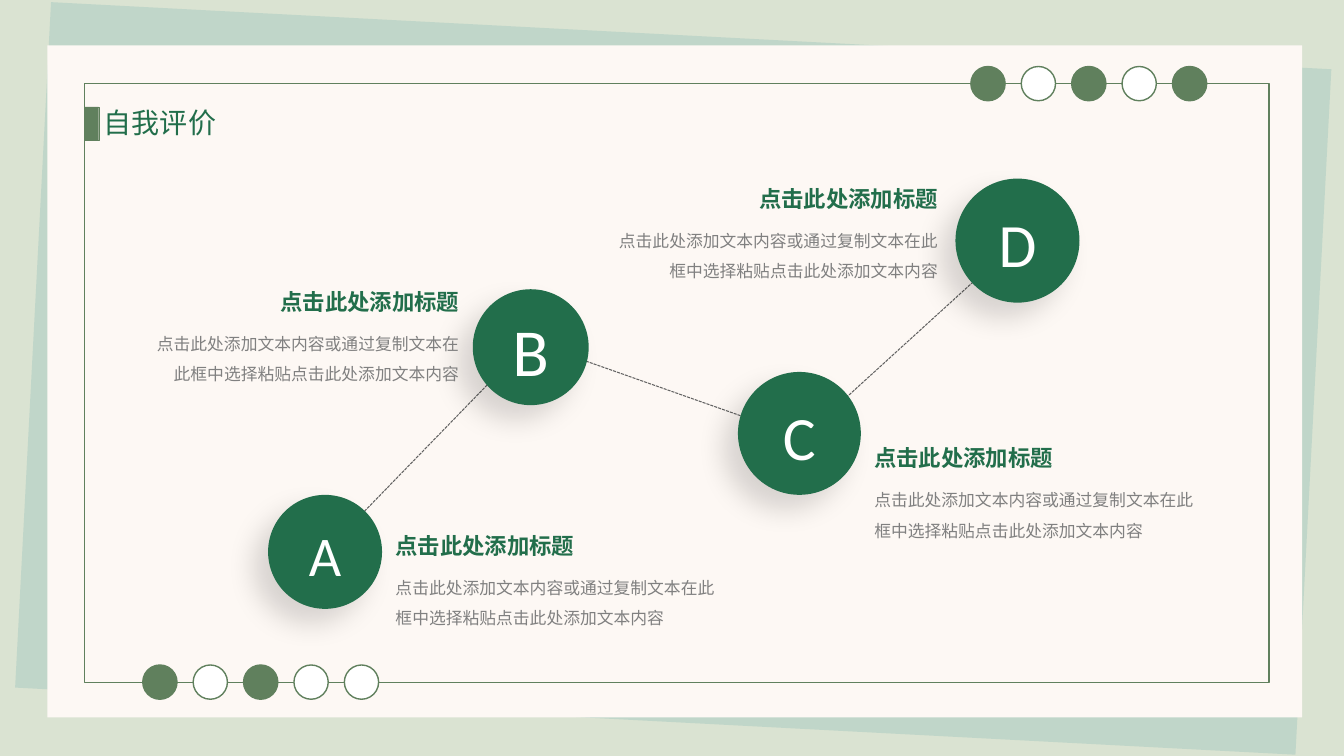
"""Build the self-evaluation slide with four lettered stops on a dashed path."""
import dataclasses

import lxml.etree
import pptx
import pptx.dml.color
import pptx.enum.dml
import pptx.enum.shapes
import pptx.enum.text
import pptx.oxml.ns
import pptx.util


@dataclasses.dataclass(frozen=True)
class Theme:
    font: str = "Calibri"
    background: str = "DAE3D2"
    sheet: str = "C0D6C9"
    panel: str = "FDF8F4"
    olive: str = "60805D"
    green: str = "226E4B"
    white: str = "FFFFFF"
    path_line: str = "626262"
    body_text: str = "808080"
    shadow: str = "000000"
    title_size: int = 20
    heading_size: int = 16
    body_size: int = 12


theme = Theme()
Pt = pptx.util.Pt
rgb = pptx.dml.color.RGBColor.from_string
qn = pptx.oxml.ns.qn
Preset = pptx.enum.shapes.MSO_SHAPE
Align = pptx.enum.text.PP_ALIGN
Anchor = pptx.enum.text.MSO_ANCHOR

presentation = pptx.Presentation()
presentation.slide_width = Pt(960)
presentation.slide_height = Pt(540)
slide = presentation.slides.add_slide(presentation.slide_layouts[5])
slide.background.fill.solid()
slide.background.fill.fore_color.rgb = rgb(theme.background)


def draw_shape(preset, box, fill=None, line=None, line_width=1):
    shape = slide.shapes.add_shape(preset, *map(Pt, box))
    shape.shadow.inherit = False
    for part, color in ((shape.fill, fill), (shape.line.fill, line)):
        if color:
            part.solid()
            part.fore_color.rgb = rgb(color)
        else:
            part.background()
    if line:
        shape.line.width = Pt(line_width)
    return shape


def write_text(shape, text, size, color, align, bold=False, spacing=None,
               wrap=True, anchor=Anchor.TOP, insets=(9.6, 4.8)):
    frame = shape.text_frame
    frame.text = text
    side, edge = map(Pt, insets)
    frame_format = {
        "word_wrap": wrap, "vertical_anchor": anchor,
        "auto_size": pptx.enum.text.MSO_AUTO_SIZE.NONE,
        "margin_left": side, "margin_right": side,
        "margin_top": edge, "margin_bottom": edge,
    }
    for name, value in frame_format.items():
        setattr(frame, name, value)
    paragraph = frame.paragraphs[0]
    paragraph.alignment = align
    paragraph.line_spacing = spacing
    font = paragraph.runs[0].font
    for name, value in {"name": theme.font, "size": Pt(size), "bold": bold}.items():
        setattr(font, name, value)
    font.color.rgb = rgb(color)


sheet = draw_shape(Preset.RECTANGLE, (23, 25.2, 915.8, 490.3), theme.sheet)
sheet.rotation = 3
draw_shape(Preset.RECTANGLE, (33.8, 32.4, 896.4, 480), theme.panel)
draw_shape(Preset.RECTANGLE, (60.5, 59.8, 846, 427.7), line=theme.olive)

dot_rows = [(693.5, 47.5, "●○●○●"), (102, 475, "●○●○○")]
dot_step, dot_size = 36, 24.5
for left, top, pattern in dot_rows:
    for index, mark in enumerate(pattern):
        fill = theme.olive if mark == "●" else theme.white
        draw_shape(Preset.OVAL, (left + index * dot_step, top, dot_size, dot_size),
                   fill, theme.olive)

title = slide.shapes.title
slide.shapes._spTree.append(title._element)
title_place = {"left": 67, "top": 72, "width": 122.4, "height": 31.7}
for name, value in title_place.items():
    setattr(title, name, Pt(value))
write_text(title, "自我评价", theme.title_size, theme.green, Align.JUSTIFY,
           insets=(7.2, 3.6))
draw_shape(Preset.RECTANGLE, (60.5, 76.3, 10.1, 23.8), theme.olive, theme.olive, 0.25)

path_links = [
    (231.8, 394.6, 378.7, 243.4),
    (573.1, 312.5, 377.3, 243.4),
    (749.5, 151.9, 573.1, 312.5),
]
for ends in path_links:
    link = slide.shapes.add_connector(pptx.enum.shapes.MSO_CONNECTOR.STRAIGHT,
                                      *map(Pt, ends))
    link.line.color.rgb = rgb(theme.path_line)
    link.line.width = Pt(0.75)
    link.line.dash_style = pptx.enum.dml.MSO_LINE.SQUARE_DOT
    outline = link.line._get_or_add_ln()
    for tag in ("a:headEnd", "a:tailEnd"):
        lxml.etree.SubElement(outline, qn(tag), type="oval")
    lxml.etree.SubElement(link._element.spPr, qn("a:effectLst"))

heading = "点击此处添加标题"
body = "点击此处添加文本内容或通过复制文本在此框中选择粘贴点击此处添加文本内容"
stops = [
    ("A", 40, (232.2, 394.2), 81.4, (272.9, 375.1, 259), Align.LEFT),
    ("B", 48, (379.1, 248), 82.8, (97.2, 200.9, 240.5), Align.RIGHT),
    ("C", 44, (571, 309.6), 87.8, (614.9, 312.5, 259), Align.LEFT),
    ("D", 44, (726.8, 171.9), 88.6, (420.7, 127.4, 259), Align.RIGHT),
]
letter_width, letter_drop, body_drop = 45, 1.5, 25.6
for letter, size, (center_x, center_y), diameter, (left, top, width), align in stops:
    circle = draw_shape(Preset.OVAL, (center_x - diameter / 2, center_y - diameter / 2,
                                      diameter, diameter), theme.green)
    effects = circle._element.spPr.find(qn("a:effectLst"))
    shadow = lxml.etree.SubElement(
        effects, qn("a:outerShdw"), blurRad=str(Pt(20)), dist=str(Pt(15)),
        dir=str(135 * 60000), algn="tr", rotWithShape="0")
    shade = lxml.etree.SubElement(shadow, qn("a:srgbClr"), val=theme.shadow)
    lxml.etree.SubElement(shade, qn("a:alpha"), val="15000")

    letter_height = size * 1.2 + 9.6
    texts = [
        ((center_x - letter_width / 2, center_y + letter_drop - letter_height / 2,
          letter_width, letter_height),
         {"text": letter, "size": size, "color": theme.white, "align": Align.CENTER,
          "wrap": False, "anchor": Anchor.MIDDLE}),
        ((left, top, width, 28.8),
         {"text": heading, "size": theme.heading_size, "color": theme.green,
          "align": align, "bold": True}),
        ((left, top + body_drop, width, 50.4),
         {"text": body, "size": theme.body_size, "color": theme.body_text,
          "align": align, "spacing": 1.5}),
    ]
    for box, text_format in texts:
        write_text(slide.shapes.add_textbox(*map(Pt, box)), **text_format)

presentation.save("out.pptx")
